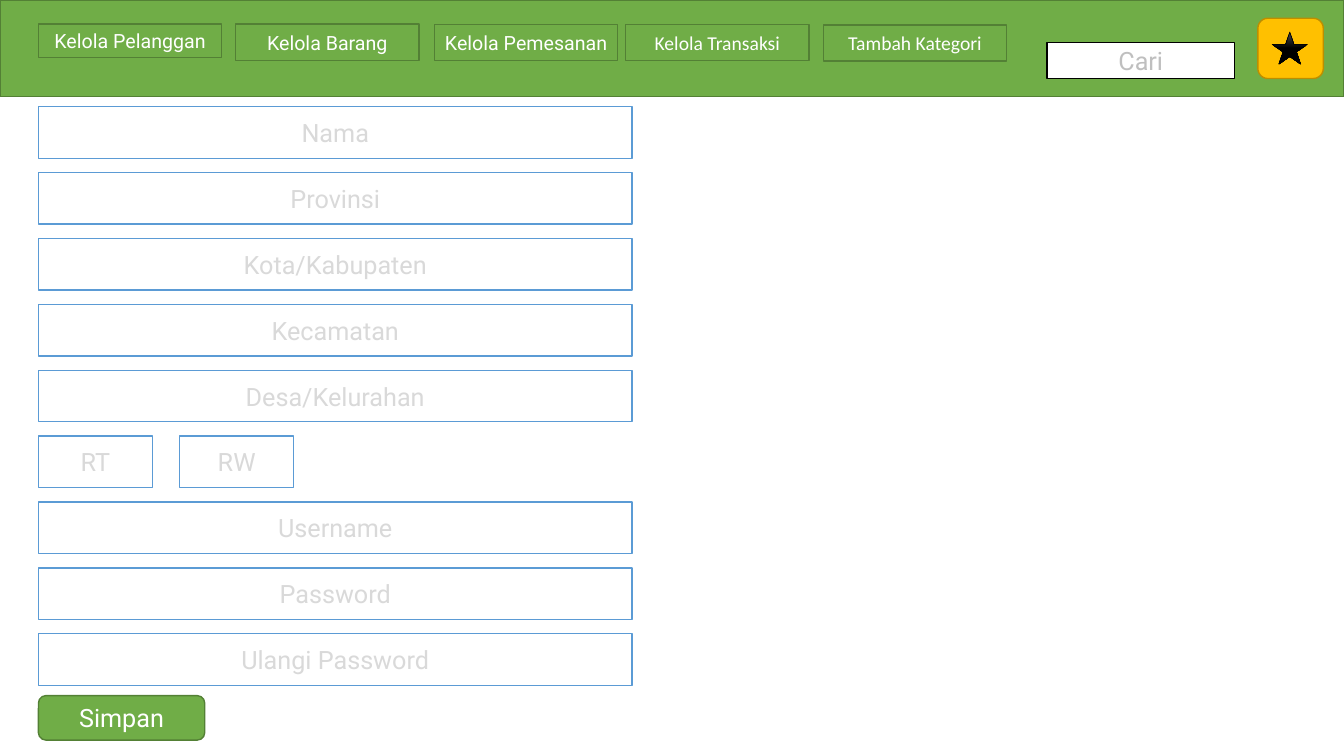
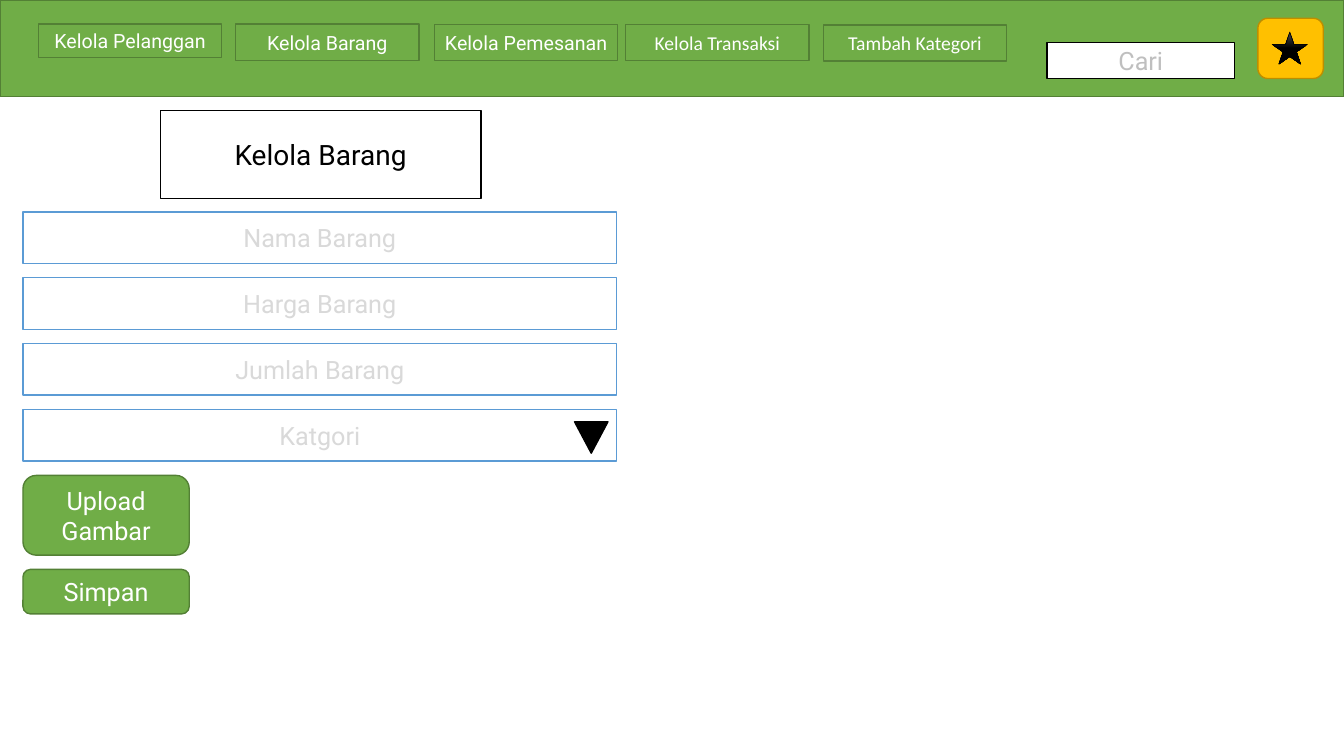
from collections import namedtuple

from pptx import Presentation
from pptx.dml.color import RGBColor
from pptx.enum.shapes import MSO_SHAPE
from pptx.enum.text import MSO_ANCHOR, MSO_AUTO_SIZE, PP_ALIGN
from pptx.util import Cm, Pt

Box = namedtuple("Box", "left top width height")

WHITE = RGBColor(0xFF, 0xFF, 0xFF)
BLACK = RGBColor(0x00, 0x00, 0x00)
CHARCOAL = RGBColor(0x4B, 0x4B, 0x4B)
GREEN = RGBColor(0x70, 0xAD, 0x47)
DARK_GREEN = RGBColor(0x53, 0x80, 0x35)
BLUE = RGBColor(0x5B, 0x9B, 0xD5)
GOLD = RGBColor(0xFF, 0xC0, 0x00)
DARK_GOLD = RGBColor(0xBD, 0x8E, 0x00)
SEARCH_GRAY = RGBColor(0xBF, 0xBF, 0xBF)
HINT_GRAY = RGBColor(0xD9, 0xD9, 0xD9)

STYLES = {
    "band": {"fill": GREEN, "line": DARK_GREEN},
    "menu": {"fill": GREEN, "line": DARK_GREEN, "color": WHITE, "size": Pt(14)},
    "button": {"fill": GREEN, "line": DARK_GREEN, "color": WHITE},
    "search": {"fill": WHITE, "line": BLACK, "color": SEARCH_GRAY},
    "field": {"fill": WHITE, "line": BLUE, "color": HINT_GRAY},
    "title": {"fill": WHITE, "line": BLACK, "color": BLACK, "size": Pt(20)},
    "badge": {"fill": GOLD, "line": DARK_GOLD},
    "icon": {"fill": BLACK, "line": BLACK},
}

MENU = (
    ("Kelola Pelanggan", "Roboto", 0.97, 0.61, 0.84),
    ("Kelola Barang", "Roboto", 5.94, 0.61, 0.91),
    ("Kelola Pemesanan", "Roboto", 10.95, 0.62, 0.91),
    ("Kelola Transaksi", "Calibri", 15.77, 0.62, 0.91),
    ("Tambah Kategori", "Calibri", 20.75, 0.63, 0.91),
)
CUSTOMER_ROWS = (
    ("Nama",), ("Provinsi",), ("Kota/Kabupaten",), ("Kecamatan",), ("Desa/Kelurahan",),
    ("RT", "RW"), ("Username",), ("Password",), ("Ulangi Password",),
)
ITEM_ROWS = (("Nama Barang",), ("Harga Barang",), ("Jumlah Barang",), ("Katgori",))

PAGE_WIDTH, PAGE_HEIGHT = 33.87, 19.05
MENU_WIDTH = 4.62
FIELD_WIDTH, FIELD_HEIGHT, FIELD_PITCH = 14.96, 1.3, 1.66
SHORT_WIDTH, SHORT_PITCH = 2.87, 3.56
BUTTON_WIDTH, BUTTON_HEIGHT = 4.19, 1.12


def format_shape(shape, style, text="", font="Roboto"):
    """Give a shape the fill, line and centred text of a named style."""
    look = STYLES[style]
    shape.fill.solid()
    shape.fill.fore_color.rgb = look["fill"]
    shape.line.color.rgb = look["line"]
    shape.line.width = Pt(1)
    if not text:
        return
    frame = shape.text_frame
    frame_format = {
        "word_wrap": True,
        "auto_size": MSO_AUTO_SIZE.NONE,
        "vertical_anchor": MSO_ANCHOR.MIDDLE,
    }
    for name, value in frame_format.items():
        setattr(frame, name, value)
    para = frame.paragraphs[0]
    para.alignment = PP_ALIGN.CENTER
    span = para.add_run()
    span.text = text
    for name, value in {"name": font, "size": look.get("size", Pt(18))}.items():
        setattr(span.font, name, value)
    span.font.color.rgb = look["color"]


def add_box(page, box, style, text="", kind=MSO_SHAPE.RECTANGLE, font="Roboto"):
    """Add a preset shape in a named style."""
    shape = page.shapes.add_shape(kind, *map(Cm, box))
    shape.shadow.inherit = False
    format_shape(shape, style, text, font)
    return shape


def add_badge(page, box):
    """Add the golden button with a star in its middle."""
    add_box(page, box, "badge", kind=MSO_SHAPE.ROUNDED_RECTANGLE)
    star_box = Box(box.left + 0.36, box.top + 0.35, 0.89, 0.81)
    star = add_box(page, star_box, "icon", kind=MSO_SHAPE.STAR_5_POINT)
    star.line.width = Pt(0.5)
    star.fill.gradient()
    star.fill.gradient_angle = 270
    for stop, color, position in zip(star.fill.gradient_stops, (CHARCOAL, BLACK), (0, 0.5)):
        stop.color.rgb = color
        stop.position = position


def add_header(page, box):
    """Add the green band with its menu, search field and badge."""
    add_box(page, box, "band")
    for text, font, left, top, height in MENU:
        menu_box = Box(box.left + left, box.top + top, MENU_WIDTH, height)
        add_box(page, menu_box, "menu", text, font=font)
    add_box(page, Box(box.left + 26.39, box.top + 1.07, 4.72, 0.91), "search", "Cari")
    add_badge(page, Box(box.left + 31.7, box.top + 0.46, 1.65, 1.52))


def add_fields(page, box, rows):
    """Stack rows of entry fields from the top of the box."""
    for index, labels in enumerate(rows):
        width = box.width if len(labels) == 1 else SHORT_WIDTH
        for column, label in enumerate(labels):
            field_box = Box(
                box.left + column * SHORT_PITCH,
                box.top + index * FIELD_PITCH,
                width,
                FIELD_HEIGHT,
            )
            add_box(page, field_box, "field", label)


def add_button(page, left, top, text, height=BUTTON_HEIGHT):
    """Add a rounded green button."""
    box = Box(left, top, BUTTON_WIDTH, height)
    add_box(page, box, "button", text, MSO_SHAPE.ROUNDED_RECTANGLE)


def add_title(page, box, text):
    """Move the title placeholder into the box and format it."""
    title = page.shapes.title
    for name, value in box._asdict().items():
        setattr(title, name, Cm(value))
    format_shape(title, "title", text)


def add_dropdown_arrow(page, box):
    """Add a downward triangle at the right end of a field."""
    arrow_box = Box(box.left + box.width - 1.06, box.top + 0.31, 0.84, 0.79)
    arrow = add_box(page, arrow_box, "icon", kind=MSO_SHAPE.ISOSCELES_TRIANGLE)
    arrow.rotation = 180


def add_page(deck, layout_name):
    """Add a slide that carries the shared header."""
    page = deck.slides.add_slide(deck.slide_layouts.get_by_name(layout_name))
    add_header(page, Box(0, 0, PAGE_WIDTH, 2.44))
    return page


def add_customer_page(deck):
    """Build the customer form."""
    page = add_page(deck, "Blank")
    form = Box(0.97, 2.69, FIELD_WIDTH, FIELD_PITCH * len(CUSTOMER_ROWS))
    add_fields(page, form, CUSTOMER_ROWS)
    add_button(page, form.left, 17.53, "Simpan")


def add_item_page(deck):
    """Build the item form with its title, drop-down and buttons."""
    page = add_page(deck, "Title Only")
    form = Box(0.58, 5.34, FIELD_WIDTH, FIELD_PITCH * len(ITEM_ROWS))
    add_title(page, Box(form.left + 3.46, 2.79, 8.08, 2.21), "Kelola Barang")
    add_fields(page, form, ITEM_ROWS)
    bottom = form.top + form.height
    add_dropdown_arrow(page, form._replace(top=bottom - FIELD_PITCH))
    add_button(page, form.left, bottom, "Upload Gambar", 2.01)
    add_button(page, form.left, bottom + 2.37, "Simpan")


def main():
    """Build and save the deck."""
    deck = Presentation()
    deck.slide_width, deck.slide_height = Cm(PAGE_WIDTH), Cm(PAGE_HEIGHT)
    add_customer_page(deck)
    add_item_page(deck)
    deck.save("out.pptx")


if __name__ == "__main__":
    main()
